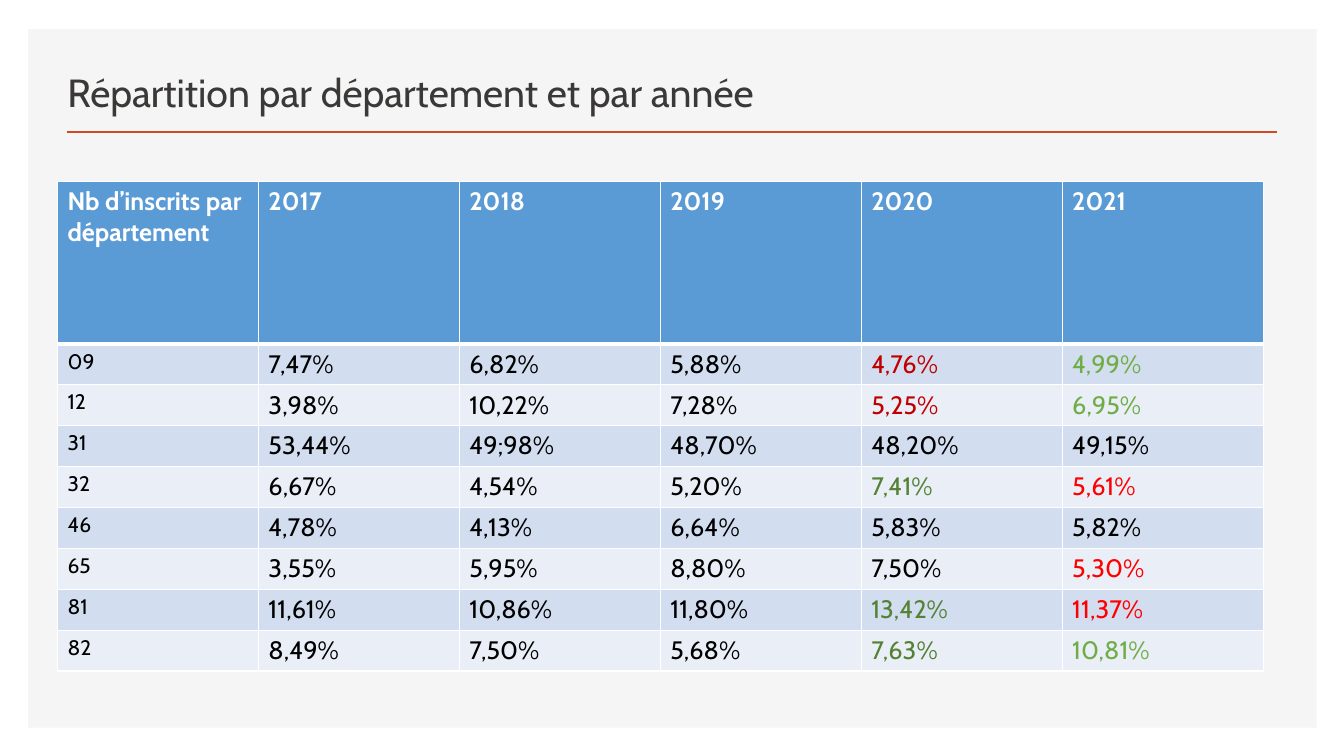
from lxml import etree
from pptx import Presentation
from pptx.dml.color import RGBColor
from pptx.enum import shapes, text
from pptx.oxml import ns
from pptx.util import Inches, Pt

# Content
TITLE = "Répartition par département et par année"
HEADER = ["Nb d’inscrits par département", "2017", "2018", "2019", "2020", "2021"]
ROWS = [
    ["09", "7,47%", "6,82%", "5,88%", "4,76%", "4,99%"],
    ["12", "3,98%", "10,22%", "7,28%", "5,25%", "6,95%"],
    ["31", "53,44%", "49;98%", "48,70%", "48,20%", "49,15%"],
    ["32", "6,67%", "4,54%", "5,20%", "7,41%", "5,61%"],
    ["46", "4,78%", "4,13%", "6,64%", "5,83%", "5,82%"],
    ["65", "3,55%", "5,95%", "8,80%", "7,50%", "5,30%"],
    ["81", "11,61%", "10,86%", "11,80%", "13,42%", "11,37%"],
    ["82", "8,49%", "7,50%", "5,68%", "7,63%", "10,81%"],
]
# Marked values: (department, year) -> colour
DARK_RED, RED, DARK_GREEN, GREEN = "C00000", "FF0000", "548235", "70AD47"
MARKS = {
    ("09", "2020"): DARK_RED, ("12", "2020"): DARK_RED,
    ("32", "2020"): DARK_GREEN, ("81", "2020"): DARK_GREEN, ("82", "2020"): DARK_GREEN,
    ("09", "2021"): GREEN, ("12", "2021"): GREEN, ("82", "2021"): GREEN,
    ("32", "2021"): RED, ("65", "2021"): RED, ("81", "2021"): RED,
}
BANDS = ["D2DEEF", "EAEFF7"]
FONT = "Cabin"
COLUMN_WIDTH, HEADER_HEIGHT, ROW_HEIGHT = 1.993, 1.61, 0.406


def color(value):
    return RGBColor.from_string(value)


def style(paragraph, size, value, bold=False):
    font = paragraph.font
    font.name, font.size, font.bold = FONT, Pt(size), bold
    font.color.rgb = color(value)


def add_borders(cell, widths):
    properties = cell._tc.get_or_add_tcPr()
    for side, width in zip("LRTB", widths):
        line = etree.SubElement(properties, ns.qn(f"a:ln{side}"), w=str(Pt(width)))
        fill = etree.SubElement(line, ns.qn("a:solidFill"))
        etree.SubElement(fill, ns.qn("a:srgbClr"), val="FFFFFF")


def fill_cell(cell, content, size, text_color, fill, bold, widths):
    cell.text = content
    style(cell.text_frame.paragraphs[0], size, text_color, bold)
    add_borders(cell, widths)
    cell.fill.solid()
    cell.fill.fore_color.rgb = color(fill)


presentation = Presentation()
presentation.slide_width, presentation.slide_height = Inches(13.33), Inches(7.5)
slide = presentation.slides.add_slide(presentation.slide_layouts[6])

# Grey panel
panel = slide.shapes.add_shape(shapes.MSO_SHAPE.RECTANGLE, Inches(0.28), Inches(0.29),
                               Inches(12.78), Inches(6.93))
panel.shadow.inherit = False
panel.fill.solid()
panel.fill.fore_color.rgb = color("F5F5F5")
panel.line.fill.background()

# Title and rule below it
rule = slide.shapes.add_connector(shapes.MSO_CONNECTOR.STRAIGHT, Inches(0.66), Inches(1.31),
                                  Inches(12.67), Inches(1.31))
rule.line.color.rgb = color("D24726")
rule.line.width = Pt(2)
etree.SubElement(rule._element.spPr, ns.qn("a:effectLst"))

title = slide.shapes.add_textbox(Inches(0.57), Inches(0.49), Inches(7.52), Inches(0.7))
frame = title.text_frame
frame.word_wrap = True
frame.vertical_anchor = text.MSO_ANCHOR.BOTTOM
frame.text = TITLE
style(frame.paragraphs[0], 28, "3B3838")

# Table
table = slide.shapes.add_table(
    len(ROWS) + 1, len(HEADER), Inches(0.57), Inches(1.8),
    Inches(COLUMN_WIDTH * len(HEADER)),
    Inches(HEADER_HEIGHT + ROW_HEIGHT * len(ROWS))).table
for column in table.columns:
    column.width = Inches(COLUMN_WIDTH)
for index, row in enumerate(table.rows):
    row.height = Inches(ROW_HEIGHT if index else HEADER_HEIGHT)

for column, label in enumerate(HEADER):
    fill_cell(table.cell(0, column), label, 18, "FFFFFF", "5B9BD5", True, (1, 1, 1, 3))
for index, values in enumerate(ROWS):
    widths = (1, 1, 1 if index else 3, 1)
    for column, value in enumerate(values):
        mark = MARKS.get((values[0], HEADER[column]), "000000")
        fill_cell(table.cell(index + 1, column), value, 18 if column else 15, mark,
                  BANDS[index % 2], False, widths)

presentation.save("out.pptx")
